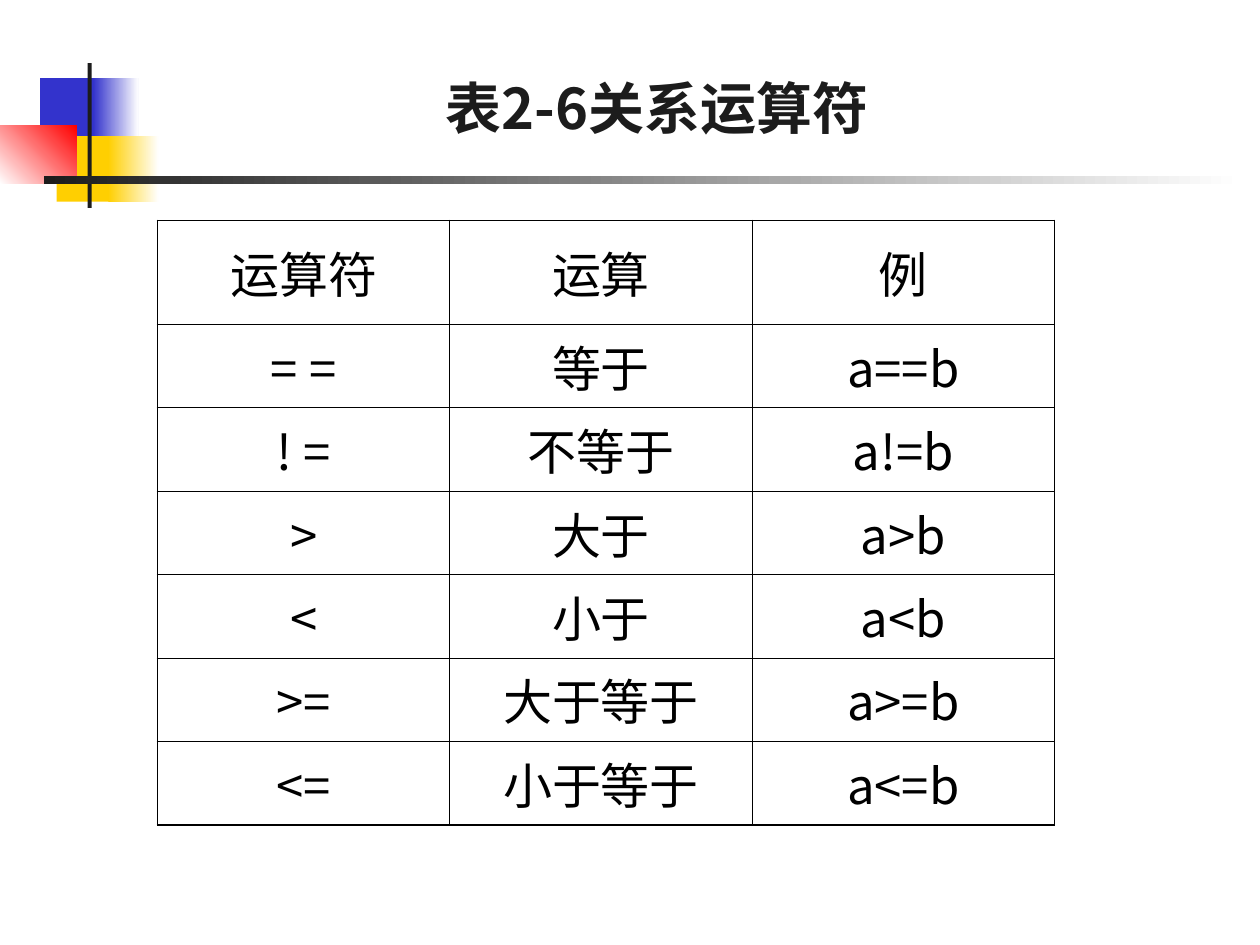
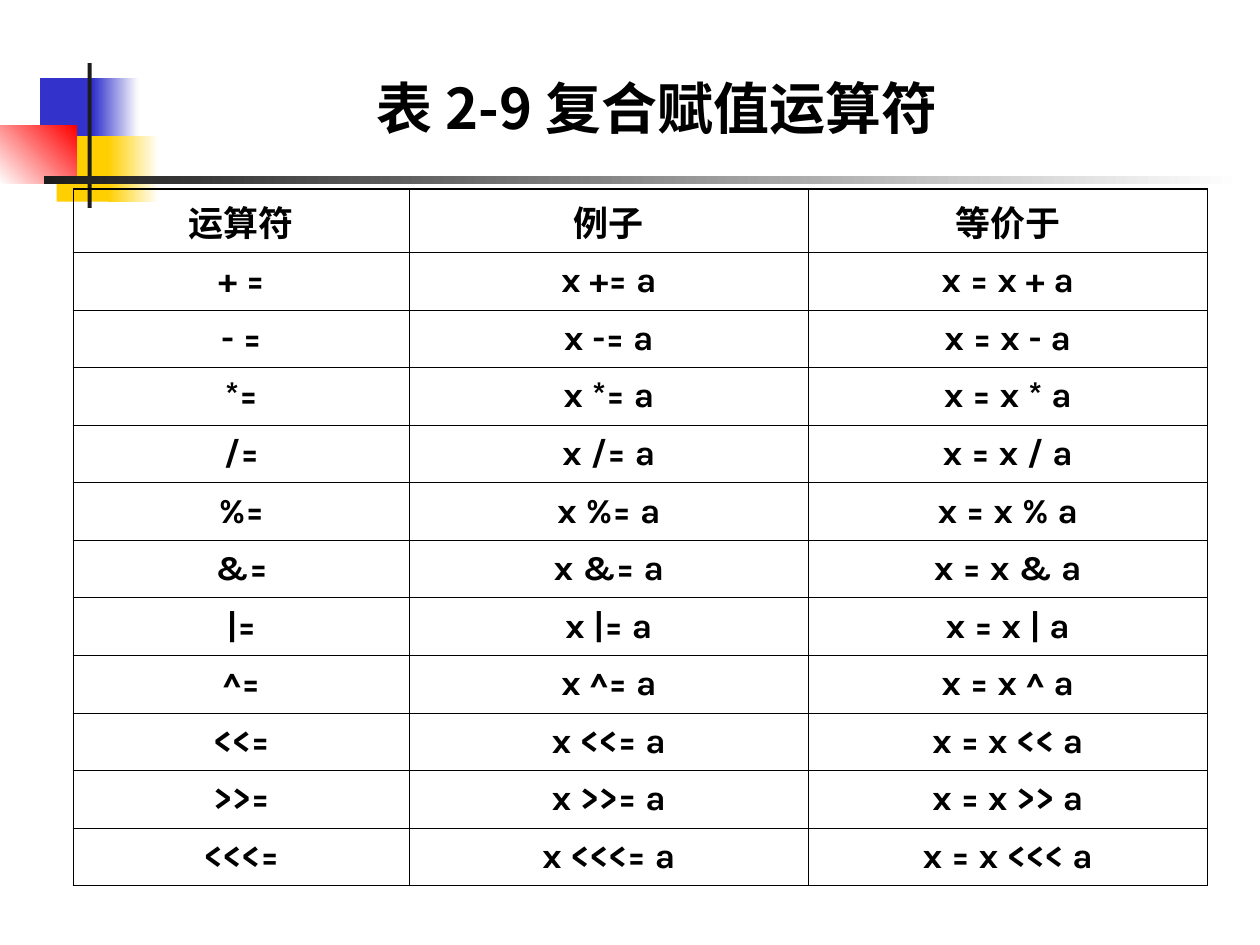
from dataclasses import dataclass

from lxml import etree
from pptx import Presentation
from pptx.dml.color import RGBColor
from pptx.enum import shapes, text
from pptx.oxml import ns
from pptx.util import Pt

BLACK = RGBColor(0x00, 0x00, 0x00)
INK = RGBColor(0x1C, 0x1C, 0x1C)
WHITE = RGBColor(0xFF, 0xFF, 0xFF)
BLUE = RGBColor(0x33, 0x33, 0xCC)
YELLOW = RGBColor(0xFF, 0xCF, 0x01)
RED = RGBColor(0xFF, 0x00, 0x00)

CJK_FONT = "Noto Sans CJK SC"
LATIN_FONT = "Karla"

OUTER_LINE, HEADER_LINE, INNER_LINE = Pt(1.08), Pt(0.45), Pt(0.34)


@dataclass(frozen=True)
class Band:
    left: float
    top: float
    width: float
    height: float
    color: RGBColor
    fade_to: RGBColor | None = None
    angle: float = 0


@dataclass(frozen=True)
class OperatorTable:
    title: str
    title_color: RGBColor
    left: float
    top: float
    column_widths: tuple[float, ...]
    header_height: float
    row_height: float
    rows: list[tuple[str, ...]]
    font: str
    size: float
    bold: bool


BANDS = [
    Band(23, 44.6, 34.6, 37.4, BLUE),
    Band(53.3, 44.6, 25.9, 37.4, BLUE, WHITE),
    Band(32.4, 77.8, 33.1, 37.4, YELLOW),
    Band(61.9, 77.8, 28.8, 37.4, YELLOW, WHITE),
    Band(0, 72, 44, 33.1, WHITE, RED, 45),
    Band(50, 36, 2.4, 82.8, INK),
    Band(25.2, 100.8, 684.7, 4.5, INK, WHITE),
]

RELATIONS = [
    ("运算符", "运算", "例"),
    ("= =", "等于", "a==b"),
    ("! =", "不等于", "a!=b"),
    (">", "大于", "a>b"),
    ("<", "小于", "a<b"),
    (">=", "大于等于", "a>=b"),
    ("<=", "小于等于", "a<=b"),
]


def assignment_rows() -> list[tuple[str, ...]]:
    rows = [("运算符", "例子", "等价于")]
    for operator in ("+", "-", "*", "/", "%", "&", "|", "^", "<<", ">>", "<<<"):
        gap = " " if operator in "+-" else ""
        rows.append((f"{operator}{gap}=", f"x {operator}= a", f"x = x {operator} a"))
    return rows


TABLES = [
    OperatorTable("表2-6关系运算符", INK, 90, 126, (167, 172.8, 172.8),
                  59.2, 41, RELATIONS, CJK_FONT, 28, False),
    OperatorTable("表 2-9 复合赋值运算符", BLACK, 42, 108, (192, 228, 228),
                  32.9, 32.9, assignment_rows(), LATIN_FONT, 20, True),
]


def write_text(frame, content: str, *, font: str, size: float,
               color: RGBColor, bold: bool) -> None:
    paragraph = frame.paragraphs[0]
    paragraph.alignment = text.PP_ALIGN.CENTER
    run = paragraph.add_run()
    run.text = content
    run.font.name, run.font.size, run.font.bold = font, Pt(size), bold
    run.font.color.rgb = color
    properties = run.font._element
    etree.SubElement(properties, ns.qn("a:ea"), typeface=CJK_FONT)


def add_band(slide, band: Band):
    shape = slide.shapes.add_shape(
        shapes.MSO_SHAPE.RECTANGLE,
        Pt(band.left), Pt(band.top), Pt(band.width), Pt(band.height))
    shape.shadow.inherit = False
    shape.line.fill.background()
    if band.fade_to is None:
        shape.fill.solid()
        shape.fill.fore_color.rgb = band.color
    else:
        shape.fill.gradient()
        shape.fill.gradient_angle = band.angle
        stops = zip(shape.fill.gradient_stops, (band.color, band.fade_to), (0, 1))
        for stop, color, position in stops:
            stop.color.rgb, stop.position = color, position
    return shape


def set_borders(cell, widths: dict[str, int]) -> None:
    properties = cell._tc.get_or_add_tcPr()
    for index, (side, width) in enumerate(widths.items()):
        line = etree.Element(ns.qn(f"a:ln{side}"), w=str(width))
        fill = etree.SubElement(line, ns.qn("a:solidFill"))
        etree.SubElement(fill, ns.qn("a:srgbClr"), val=str(BLACK))
        properties.insert(index, line)


def add_title(slide, operators: OperatorTable) -> None:
    title = slide.shapes.title
    title.left, title.top, title.width, title.height = Pt(72), Pt(12.2), Pt(617.8), Pt(72)
    frame = title.text_frame
    frame.auto_size = text.MSO_AUTO_SIZE.NONE
    frame.vertical_anchor = text.MSO_ANCHOR.BOTTOM
    frame.margin_right = Pt(18)
    write_text(frame, operators.title, font=CJK_FONT, size=32,
               color=operators.title_color, bold=True)


def add_operator_table(slide, operators: OperatorTable) -> None:
    last_row = len(operators.rows) - 1
    last_column = len(operators.column_widths) - 1
    heights = [operators.header_height] + [operators.row_height] * last_row
    table = slide.shapes.add_table(
        last_row + 1, last_column + 1, Pt(operators.left), Pt(operators.top),
        Pt(sum(operators.column_widths)), Pt(sum(heights))).table
    table.first_row = table.horz_banding = False
    for column, width in zip(table.columns, operators.column_widths):
        column.width = Pt(width)
    for row_index, values in enumerate(operators.rows):
        table.rows[row_index].height = Pt(heights[row_index])
        inner = HEADER_LINE if row_index == 0 else INNER_LINE
        top = {0: OUTER_LINE, 1: HEADER_LINE}.get(row_index, INNER_LINE)
        for column_index, value in enumerate(values):
            cell = table.cell(row_index, column_index)
            cell.vertical_anchor = text.MSO_ANCHOR.MIDDLE
            cell.fill.background()
            set_borders(cell, {
                "L": OUTER_LINE if column_index == 0 else inner,
                "R": OUTER_LINE if column_index == last_column else inner,
                "T": top,
                "B": OUTER_LINE if row_index == last_row else inner,
            })
            write_text(cell.text_frame, value, font=operators.font,
                       size=operators.size, color=BLACK, bold=operators.bold)


def main() -> None:
    presentation = Presentation()
    presentation.slide_width, presentation.slide_height = Pt(720), Pt(540)
    layout = presentation.slide_layouts.get_by_name("Title Only")
    layout.background.fill.solid()
    layout.background.fill.fore_color.rgb = WHITE

    slides = [presentation.slides.add_slide(layout) for _ in TABLES]

    # The bands live on the layout, so every slide shows them
    for band in BANDS:
        layout.shapes.element.append(add_band(slides[0], band).element)

    # One titled operator table on each slide
    for slide, operators in zip(slides, TABLES):
        add_title(slide, operators)
        add_operator_table(slide, operators)

    presentation.save("out.pptx")


if __name__ == "__main__":
    main()
